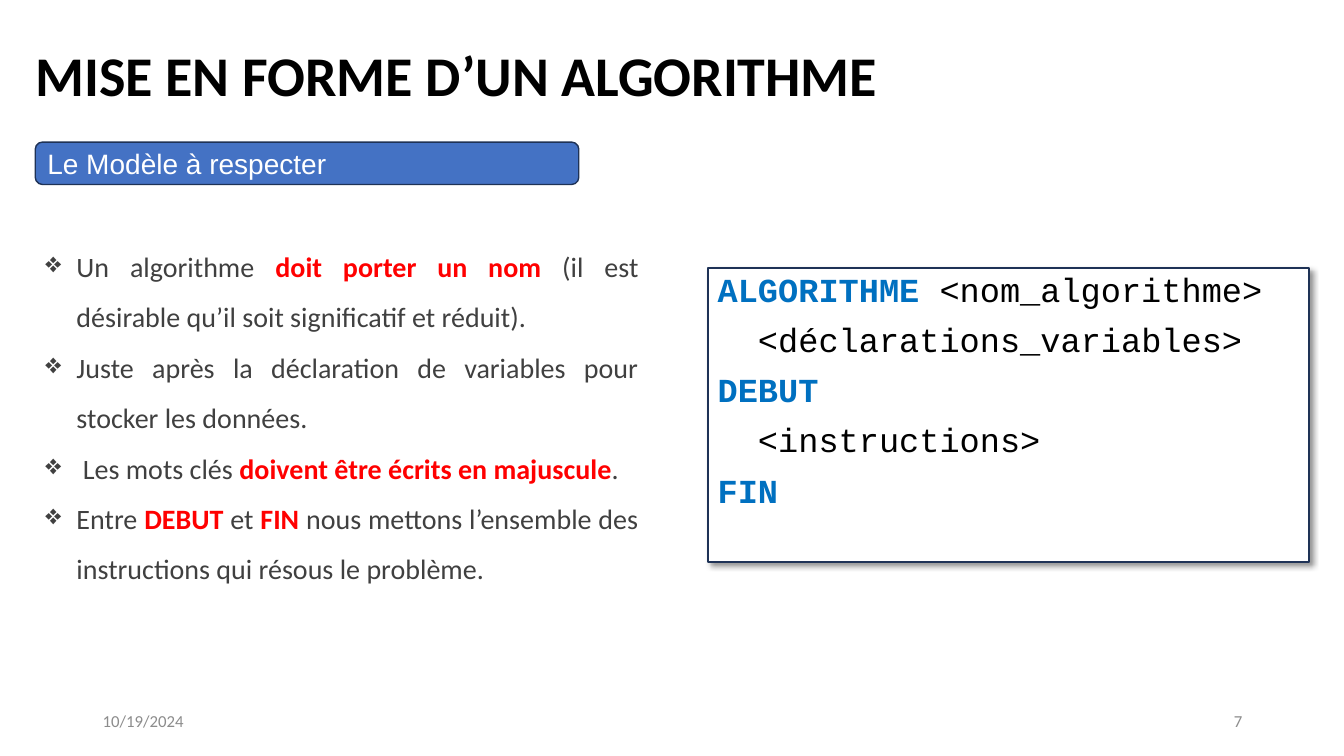
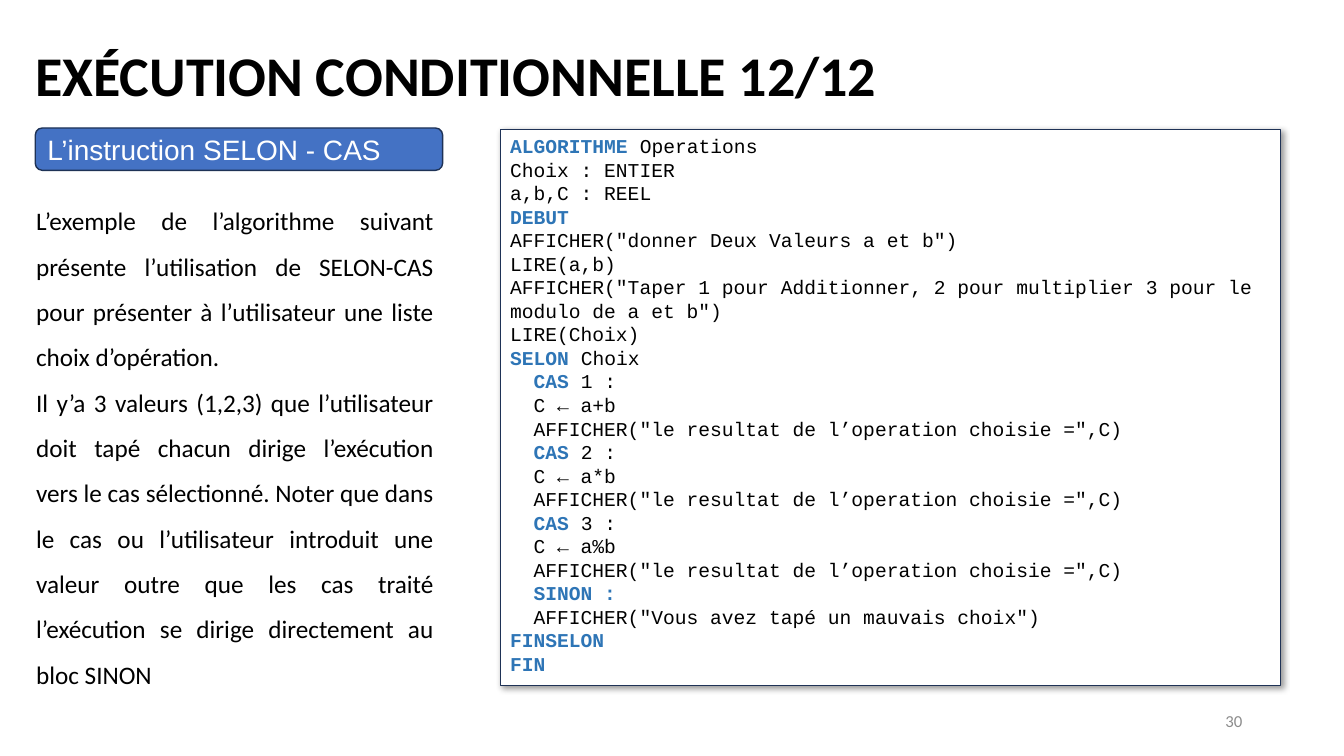
from dataclasses import dataclass

from lxml import etree
from pptx import Presentation
from pptx.dml.color import RGBColor
from pptx.enum.shapes import MSO_SHAPE
from pptx.enum.text import MSO_ANCHOR, PP_ALIGN
from pptx.oxml.ns import qn
from pptx.util import Inches, Pt

SLIDE_WIDTH, SLIDE_HEIGHT = Inches(13.33), Inches(7.5)
TITLE_ONLY = 5

LEFT, RIGHT, JUSTIFY = PP_ALIGN.LEFT, PP_ALIGN.RIGHT, PP_ALIGN.JUSTIFY
TOP, MIDDLE = MSO_ANCHOR.TOP, MSO_ANCHOR.MIDDLE
RECTANGLE, ROUNDED = MSO_SHAPE.RECTANGLE, MSO_SHAPE.ROUNDED_RECTANGLE

BLACK = RGBColor(0x00, 0x00, 0x00)
WHITE = RGBColor(0xFF, 0xFF, 0xFF)
GRAPHITE = RGBColor(0x40, 0x40, 0x40)
GREY = RGBColor(0x8C, 0x8C, 0x8C)
RED = RGBColor(0xFF, 0x00, 0x00)
BANNER_BLUE = RGBColor(0x44, 0x72, 0xC4)
NAVY = RGBColor(0x1E, 0x32, 0x56)
BRIGHT_BLUE = RGBColor(0x00, 0x70, 0xC0)
STEEL_BLUE = RGBColor(0x2E, 0x75, 0xB6)

SANS, BANNER_FONT, MONO = "Calibri", "Arial", "Courier New"
ACCENT_MARK = "|"


@dataclass(frozen=True)
class Area:
    """Position and size in percent of the slide."""
    left: float
    top: float
    width: float
    height: float

    def box(self) -> tuple[int, int, int, int]:
        return (int(SLIDE_WIDTH * self.left / 100), int(SLIDE_HEIGHT * self.top / 100),
                int(SLIDE_WIDTH * self.width / 100), int(SLIDE_HEIGHT * self.height / 100))


@dataclass(frozen=True)
class Listing:
    area: Area
    lines: list[str]
    size: float
    keyword: RGBColor
    border: float
    spacing: float = 1.0
    before: float = 0


@dataclass(frozen=True)
class Explanation:
    area: Area
    paragraphs: list[str]
    size: float
    color: RGBColor
    bullet: str = ""


@dataclass(frozen=True)
class Lesson:
    title: str
    banner: str
    banner_area: Area
    explanation: Explanation
    listing: Listing
    number: str
    date: str = ""


TITLE_AREA = Area(1.88, 4.67, 86.27, 10.27)
DATE_AREA = Area(6.9, 92.67, 22.51, 5.33)
NUMBER_AREA = Area(70.67, 92.67, 22.51, 5.33)

RESULT = '  AFFICHER("le resultat de l’operation choisie =",C)'
CASES = [
    line
    for choice, operation in enumerate(("a+b", "a*b", "a%b"), start=1)
    for line in (f"|  CAS |{choice} :", f"  C ← {operation}", RESULT)
]

LESSONS = [
    Lesson(
        title="MISE EN FORME D’UN ALGORITHME",
        banner="Le Modèle à respecter",
        banner_area=Area(2.63, 18.8, 40.44, 5.6),
        explanation=Explanation(
            Area(2.63, 30.13, 45.61, 48),
            [
                "Un algorithme |doit porter un nom |(il est désirable qu’il soit "
                "significatif et réduit).",
                "Juste après la déclaration de variables pour stocker les données.",
                " Les mots clés |doivent être écrits en majuscule|.",
                "Entre |DEBUT| et |FIN| nous mettons l’ensemble des instructions "
                "qui résous le problème.",
            ],
            size=20, color=GRAPHITE, bullet="❖",
        ),
        listing=Listing(
            Area(52.66, 35.47, 44.71, 38.93),
            [
                "|ALGORITHME| <nom_algorithme>",
                "  <déclarations_variables>",
                "|DEBUT|",
                "  <instructions>",
                "|FIN|",
            ],
            size=24, keyword=BRIGHT_BLUE, border=1.5, spacing=0.9, before=10,
        ),
        number="7",
        date="10/19/2024",
    ),
    Lesson(
        title="EXÉCUTION CONDITIONNELLE 12/12",
        banner="L’instruction SELON - CAS",
        banner_area=Area(2.63, 16.93, 30.31, 5.6),
        explanation=Explanation(
            Area(1.95, 24.53, 31.06, 67.33),
            [
                "L’exemple de l’algorithme suivant présente l’utilisation de SELON-CAS "
                "pour présenter à l’utilisateur une liste choix d’opération.",
                "Il y’a 3 valeurs (1,2,3) que l’utilisateur doit tapé chacun dirige "
                "l’exécution vers le cas sélectionné. Noter que dans le cas ou "
                "l’utilisateur introduit une valeur outre que les cas traité "
                "l’exécution se dirige directement au bloc SINON",
            ],
            size=18, color=BLACK,
        ),
        listing=Listing(
            Area(37.21, 17.07, 58.06, 73.6),
            [
                "|ALGORITHME |Operations",
                "Choix : ENTIER",
                "a,b,C : REEL",
                "|DEBUT|",
                'AFFICHER("donner Deux Valeurs a et b")',
                "LIRE(a,b)",
                'AFFICHER("Taper 1 pour Additionner, 2 pour multiplier 3 pour le '
                'modulo de a et b")',
                "LIRE(Choix)",
                "|SELON |Choix",
                *CASES,
                "|  SINON :|",
                '  AFFICHER("Vous avez tapé un mauvais choix")',
                "|FINSELON|",
                "|FIN|",
            ],
            size=14, keyword=STEEL_BLUE, border=0.75,
        ),
        number="30",
    ),
]


def add_bullet(paragraph, bullet: str) -> None:
    properties = paragraph._p.get_or_add_pPr()
    properties.set("marL", str(Inches(0.31)))
    properties.set("indent", str(-Inches(0.31)))
    etree.SubElement(properties, qn("a:buChar")).set("char", bullet)


def write_text(frame, paragraphs: list[str], *, size: float, font: str = SANS,
               color: RGBColor = BLACK, accent: RGBColor = RED, bold: bool = False,
               align: PP_ALIGN = LEFT, anchor: MSO_ANCHOR = TOP, spacing: float = 1.0,
               before: float = 0, bullet: str = "") -> None:
    frame.word_wrap = True
    frame.vertical_anchor = anchor
    for index, text in enumerate(paragraphs):
        paragraph = frame.add_paragraph() if index else frame.paragraphs[0]
        if bullet:
            add_bullet(paragraph, bullet)
        paragraph.alignment = align
        paragraph.line_spacing = spacing
        paragraph.space_before = Pt(before if index else 0)
        for position, part in enumerate(text.split(ACCENT_MARK)):
            if not part:
                continue
            accented = position % 2 == 1
            run = paragraph.add_run()
            run.text = part
            run.font.name = font
            run.font.size = Pt(size)
            run.font.bold = bold or accented
            run.font.color.rgb = accent if accented else color


def add_panel(slide, area: Area, kind: MSO_SHAPE, fill: RGBColor, border: float):
    panel = slide.shapes.add_shape(kind, *area.box())
    panel.shadow.inherit = False
    panel.fill.solid()
    panel.fill.fore_color.rgb = fill
    panel.line.color.rgb = NAVY
    panel.line.width = Pt(border)
    return panel


def cast_shadow(panel) -> None:
    effects = panel._element.spPr.find(qn("a:effectLst"))
    shadow = etree.SubElement(effects, qn("a:outerShdw"), blurRad=str(Pt(4)),
                              dist=str(Pt(3)), dir=str(45 * 60000),
                              algn="tl", rotWithShape="0")
    tint = etree.SubElement(shadow, qn("a:srgbClr"), val=str(BLACK))
    etree.SubElement(tint, qn("a:alpha"), val="40000")


def add_title(slide, text: str) -> None:
    title = slide.shapes.title
    title.left, title.top, title.width, title.height = TITLE_AREA.box()
    write_text(title.text_frame, [text], size=40, bold=True)


def add_banner(slide, text: str, area: Area) -> None:
    banner = add_panel(slide, area, ROUNDED, BANNER_BLUE, 1)
    write_text(banner.text_frame, [text], size=20, font=BANNER_FONT, color=WHITE,
               anchor=MIDDLE)


def add_listing(slide, listing: Listing) -> None:
    panel = add_panel(slide, listing.area, RECTANGLE, WHITE, listing.border)
    cast_shadow(panel)
    write_text(panel.text_frame, listing.lines, size=listing.size, font=MONO,
               accent=listing.keyword, spacing=listing.spacing, before=listing.before)


def add_explanation(slide, explanation: Explanation) -> None:
    body = slide.shapes.add_textbox(*explanation.area.box())
    write_text(body.text_frame, explanation.paragraphs, size=explanation.size,
               color=explanation.color, align=JUSTIFY, spacing=1.5,
               bullet=explanation.bullet)


def add_footer(slide, text: str, area: Area, align: PP_ALIGN) -> None:
    footer = slide.shapes.add_textbox(*area.box())
    write_text(footer.text_frame, [text], size=12, color=GREY, align=align, anchor=MIDDLE)


def build_lesson(deck, lesson: Lesson) -> None:
    slide = deck.slides.add_slide(deck.slide_layouts[TITLE_ONLY])
    add_title(slide, lesson.title)
    add_banner(slide, lesson.banner, lesson.banner_area)
    add_listing(slide, lesson.listing)
    add_explanation(slide, lesson.explanation)
    if lesson.date:
        add_footer(slide, lesson.date, DATE_AREA, LEFT)
    add_footer(slide, lesson.number, NUMBER_AREA, RIGHT)


def main() -> None:
    deck = Presentation()
    deck.slide_width, deck.slide_height = SLIDE_WIDTH, SLIDE_HEIGHT
    for lesson in LESSONS:
        build_lesson(deck, lesson)
    deck.save("out.pptx")


if __name__ == "__main__":
    main()
